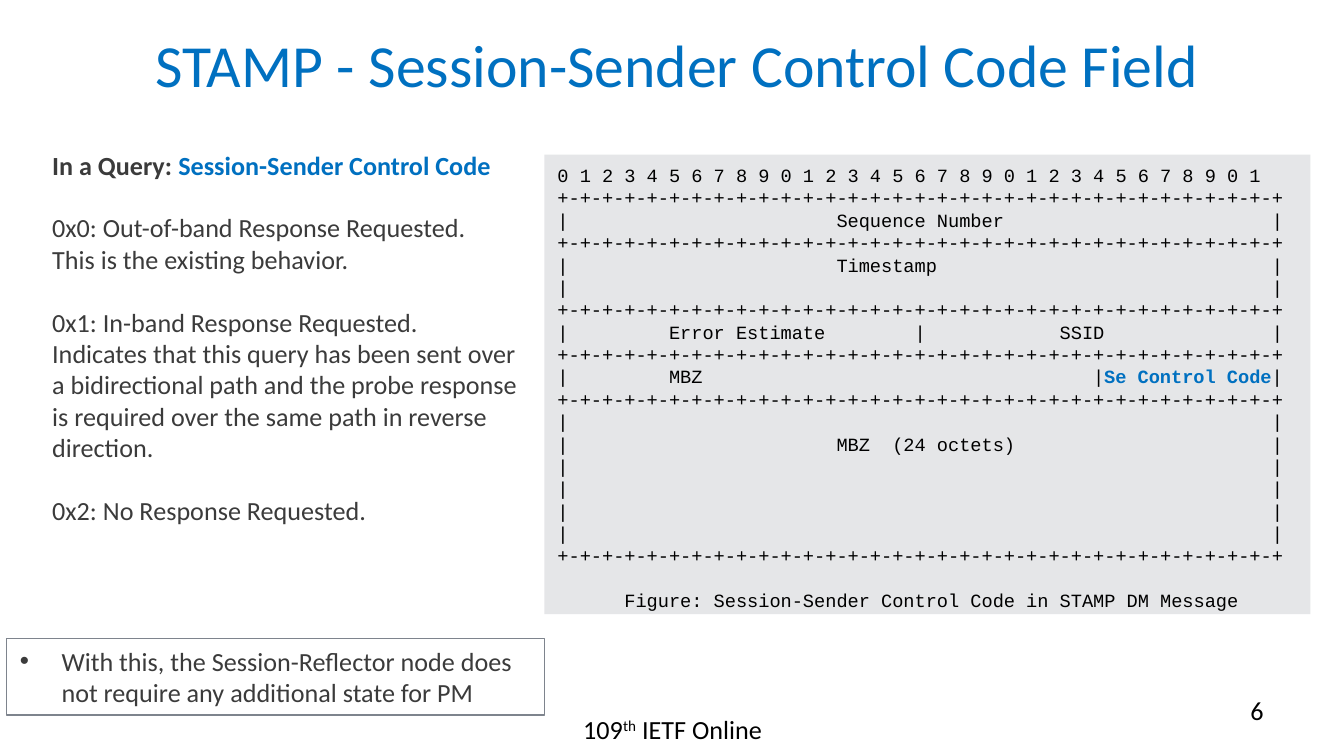
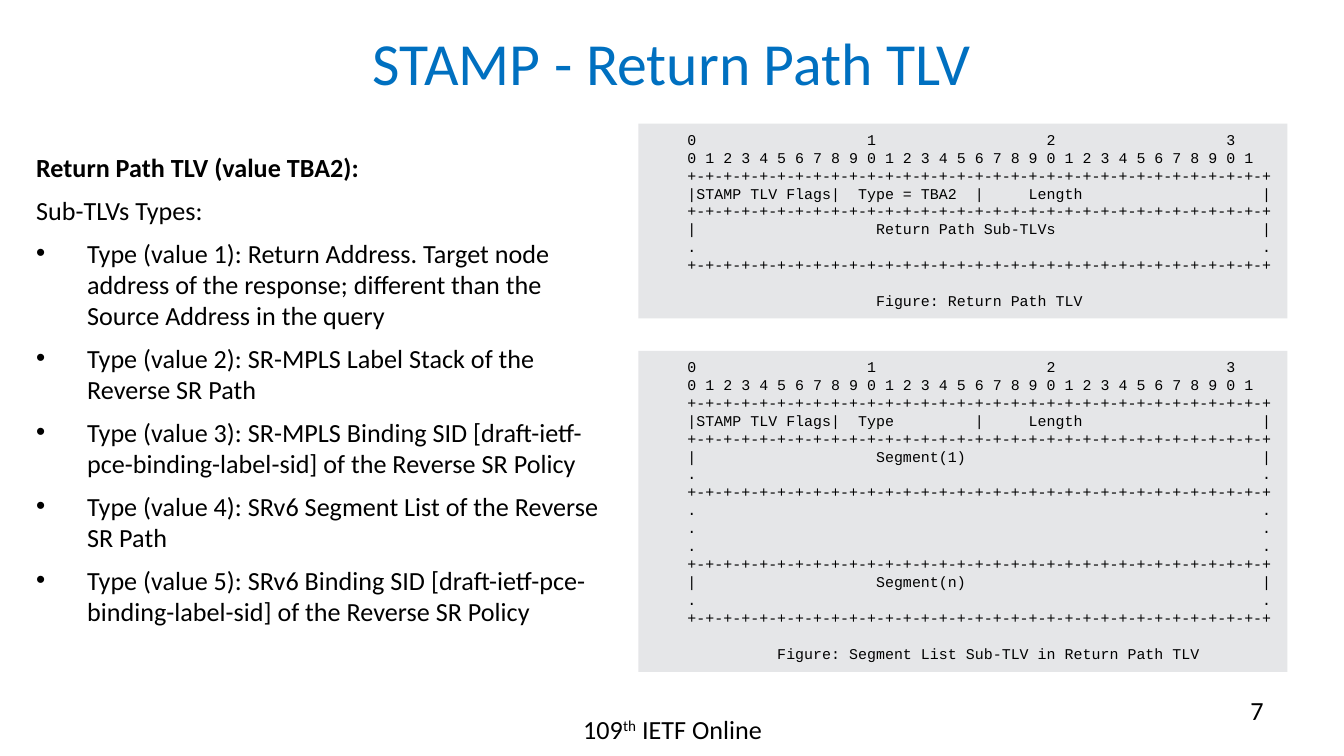
from pptx import Presentation
from pptx.dml.color import RGBColor as Rgb
from pptx.enum.shapes import MSO_SHAPE as Shape
from pptx.enum.text import MSO_ANCHOR as Anchor, PP_ALIGN as Align
from pptx.oxml.ns import qn
from pptx.util import Inches, Pt
from lxml.etree import SubElement as Sub

HUES = {"blue": "0070C0", "dark": "3B3B3B", "black": "000000",
        "panel": "E5E6E8", "edge": "7E848D"}
BODY, MONO = "Calibri", "Courier New"
LEAD = 1.2
RULE = "+-" * 32 + "+"
BITS = " ".join(str(i % 10) for i in range(32))
TENS = "".join(f"{i:<20}" for i in range(4)).rstrip()


def hue(name):
    """Return the colour of that name."""
    return Rgb.from_string(HUES[name])


def row(text="", end="|"):
    """Return one packet row between two end marks."""
    return f"{end}{text:<63}{end}"


def box(slide, area, anchor=Anchor.TOP):
    """Add a wrapping text box and return its frame."""
    frame = slide.shapes.add_textbox(*map(Inches, area)).text_frame
    frame.word_wrap = True
    frame.vertical_anchor = anchor
    return frame


def panel(slide, area, fill=None, line=None, anchor=Anchor.TOP):
    """Add a rectangle and return its text frame."""
    rect = slide.shapes.add_shape(Shape.RECTANGLE, *map(Inches, area))
    rect.shadow.inherit = False
    if fill:
        rect.fill.solid()
        rect.fill.fore_color.rgb = hue(fill)
    else:
        rect.fill.background()
    if line:
        rect.line.color.rgb = hue(line)
        rect.line.width = Pt(0.75)
    else:
        rect.line.fill.background()
    frame = rect.text_frame
    frame.word_wrap = True
    frame.vertical_anchor = anchor
    return frame


def write(frame, text, size=14, color="black", font=BODY, bold=False,
          align=Align.LEFT, gap=0, lead=None, dent=0):
    """Add a paragraph, with a bullet if dented, and return it."""
    para = frame.paragraphs[0]
    if para.runs:
        para = frame.add_paragraph()
        para.space_before = Pt(gap)
    para.alignment = align
    if lead:
        para.line_spacing = Pt(lead * size)
    if dent:
        props = para._p.get_or_add_pPr()
        props.set("marL", str(Inches(dent)))
        props.set("indent", str(-Inches(dent)))
        Sub(props, qn("a:buFont"), typeface="Arial")
        Sub(props, qn("a:buChar"), char="•")
    para.font.name = font
    para.font.size = Pt(size)
    para.font.bold = bold
    para.font.color.rgb = hue(color)
    para.add_run().text = text
    return para


def more(para, text, color=None, bold=None):
    """Add a run to a paragraph and return it."""
    run = para.add_run()
    run.text = text
    if color:
        run.font.color.rgb = hue(color)
    run.font.bold = bold
    return run


def code(frame, rows, label, size):
    """Write packet rows and a figure label set off by one line."""
    for text in rows:
        head, mark, tail = text.partition("Se Control Code")
        para = write(frame, head, size, font=MONO, lead=LEAD)
        if mark:
            more(para, mark, "blue", True)
            more(para, tail)
    write(frame, label, size, font=MONO, lead=LEAD, gap=LEAD * size)


def start(deck, title, left, top, page):
    """Add a slide with its title, footer and page number."""
    slide = deck.slides.add_slide(deck.slide_layouts[6])
    write(box(slide, (left, top, 9.5, 0.94), Anchor.MIDDLE), title, 32,
          "blue", align=Align.CENTER)
    foot = write(box(slide, (3.42, 5.26, 3.17, 0.39)), "109",
                 align=Align.CENTER)
    more(foot, "th").font._element.set("baseline", "30000")
    more(foot, " IETF Online")
    write(box(slide, (7.17, 5.12, 2.33, 0.39)), str(page), align=Align.RIGHT)
    return slide


def control(deck):
    """Build the control code slide."""
    slide = start(deck, "STAMP - Session-Sender Control Code Field",
                  0.29, 0, 6)
    frame = box(slide, (0.29, 1.06, 3.76, 2.93))
    para = write(frame, "In a Query: ", color="dark", bold=True, lead=LEAD)
    more(para, "Session-Sender Control Code", "blue", True)
    groups = [
        ["0x0: Out-of-band Response Requested.",
         "This is the existing behavior."],
        ["0x1: In-band Response Requested.",
         "Indicates that this query has been sent over a bidirectional path "
         "and the probe response is required over the same path in reverse "
         "direction."],
        ["0x2: No Response Requested."],
    ]
    for group in groups:
        for i, text in enumerate(group):
            write(frame, text, color="dark", lead=LEAD,
                  gap=0 if i else LEAD * 14)

    frame = panel(slide, (4.05, 1.15, 5.7, 3.42), "panel",
                  anchor=Anchor.MIDDLE)
    frame.margin_bottom = 0
    pad = " " * 24
    rows = [
        BITS, RULE,
        row(pad + "Sequence Number"), RULE,
        row(pad + "Timestamp"), row(), RULE,
        row(f"{'         Error Estimate':<31}|            SSID"), RULE,
        row(f"{'         MBZ':<47}|Se Control Code"), RULE,
        row(), row(pad + "MBZ  (24 octets)"), *[row()] * 4, RULE,
    ]
    code(frame, rows,
         "      Figure: Session-Sender Control Code in STAMP DM Message", 10)
    note = panel(slide, (0.05, 4.75, 4, 0.57), line="edge")
    write(note, "With this, the Session-Reflector node does not require any "
          "additional state for PM", color="dark", lead=LEAD, dent=0.31)


def packet(slide, top, tall, kind, rows, label):
    """Draw a TLV packet panel under a shared header."""
    frame = panel(slide, (4.75, top, 4.83, tall), "panel")
    flags = row(f"STAMP TLV Flags|  {kind:<13}|     Length")
    rows = [TENS, BITS, RULE, flags, RULE, *rows, RULE]
    code(frame, ["    " + text for text in rows], label, 8)


def path_tlv(deck):
    """Build the return path slide."""
    slide = start(deck, "STAMP - Return Path TLV", 0.25, -0.01, 7)
    frame = box(slide, (0.17, 1.08, 4.5, 3.66))
    write(frame, "Return Path TLV (value TBA2):", bold=True, lead=LEAD)
    write(frame, "Sub-TLVs Types:", gap=6, lead=LEAD)
    types = [
        "Return Address. Target node address of the response; different than "
        "the Source Address in the query",
        "SR-MPLS Label Stack of the Reverse SR Path",
        "SR-MPLS Binding SID [draft-ietf-pce-binding-label-sid] of the "
        "Reverse SR Policy",
        "SRv6 Segment List of the Reverse SR Path",
        "SRv6 Binding SID [draft-ietf-pce-binding-label-sid] of the Reverse "
        "SR Policy",
    ]
    for i, text in enumerate(types, 1):
        write(frame, f"Type (value {i}): {text}", gap=6, lead=LEAD, dent=0.38)

    pad, dots = " " * 20, row(end=".")
    packet(slide, 0.92, 1.45, "Type = TBA2",
           [row(pad + "Return Path Sub-TLVs"), dots],
           " " * 25 + "Figure: Return Path TLV")
    packet(slide, 2.61, 2.39, "Type",
           [row(pad + "Segment(1)"), dots, RULE, *[dots] * 3, RULE,
            row(pad + "Segment(n)"), dots],
           " " * 14 + "Figure: Segment List Sub-TLV in Return Path TLV")


def main():
    """Build and save the deck."""
    deck = Presentation()
    deck.slide_width = Inches(10)
    deck.slide_height = Inches(10) * 9 // 16
    control(deck)
    path_tlv(deck)
    deck.save("out.pptx")


if __name__ == "__main__":
    main()
